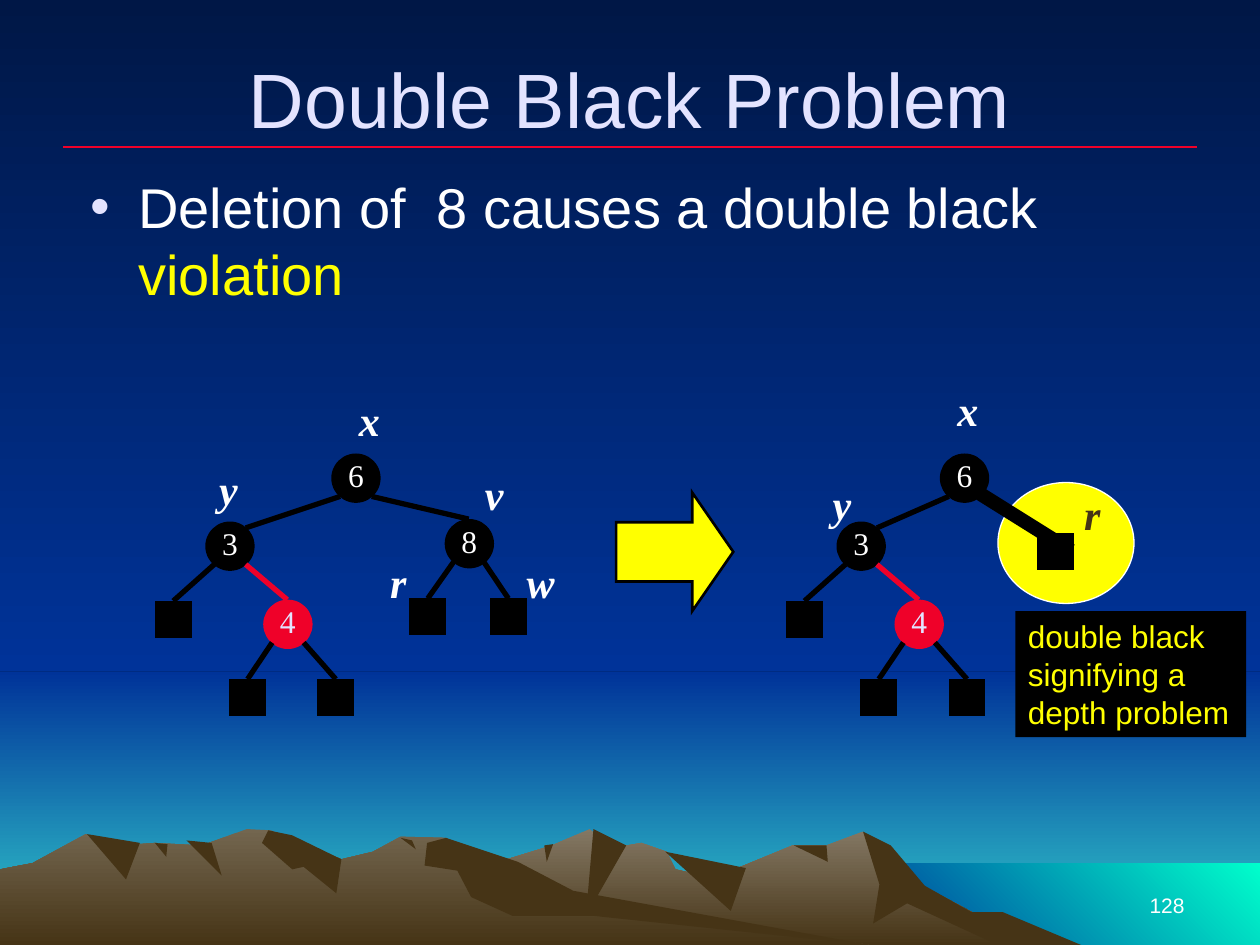
from lxml.etree import SubElement
from pptx import Presentation
from pptx.dml.color import RGBColor
from pptx.enum.shapes import MSO_CONNECTOR, MSO_SHAPE
from pptx.enum.text import MSO_ANCHOR, PP_ALIGN
from pptx.oxml.ns import qn
from pptx.util import Inches, Pt

BLACK, WHITE, RED, YELLOW = "000000", "FFFFFF", "EF0129", "FFFF00"
LILAC, BROWN, NAVY, BLUE = "E3E3FF", "463416", "001746", "003399"
TEAL, AQUA, LIGHT_ROCK, DARK_ROCK = "33CCCC", "00FFCC", "847864", "73664F"
SANS, SERIF = "Arial", "Times New Roman"

WIDTH, HEIGHT, HORIZON = 10, 7.5, 5.33
NODE, LEAF, LABEL = 0.35, 0.25, 0.5
EDGE_GAP, EDGE_RISE = 0.02, 0.29
TREE_SHIFT = 5.01

EAST_SKYLINE = [(2.58, HEIGHT), (3.27, 7.09), (3.99, 6.83), (4.38, 6.71), (4.68, 6.58),
                (4.86, 6.73), (5.09, 6.69), (5.29, 6.76), (5.36, 6.9), (5.66, 6.97),
                (6.29, 6.71), (6.56, 6.71), (6.85, 6.6), (7.23, 6.98), (8.2, HEIGHT)]
WEST_SKYLINE = [(0, HEIGHT), (0, 6.9), (0.26, 6.85), (0.68, 6.62), (0.94, 6.71),
                (1.23, 6.69), (1.6, 6.71), (1.96, 6.58), (2.15, 6.59), (2.71, 6.82),
                (2.96, 6.76), (3.18, 6.64), (3.54, 6.65), (4.32, 7.12), (6.9, HEIGHT)]
EAST_SLOPE = [(6.85, 6.6), (7.07, 6.71), (7.34, 7.03), (7.71, 7.24), (7.96, 7.24),
              (8.58, HEIGHT), (7.92, HEIGHT), (7.2, 7.17), (6.93, 7.33), (6.98, 7.02)]
CENTRE_SLOPE = [(3.39, 6.69), (3.54, 6.65), (4.11, 6.84), (4.55, 7.07), (6.9, HEIGHT),
                (4.72, 7.27), (4.07, 7.27), (3.74, 7.12), (3.63, 6.91), (3.37, 6.87)]
WEST_SLOPE = [(2.13, 6.59), (2.32, 6.63), (2.71, 6.82), (2.67, 7.09), (2.41, 6.88),
              (2.32, 6.9), (2.08, 6.69)]
EAST_GULLIES = [[(4.71, 6.58), (4.97, 6.71), (4.65, 7.27)],
                [(5.28, 6.76), (5.92, 6.89), (5.8, 7.23)],
                [(6.3, 6.71), (6.56, 6.71), (6.57, 6.84)],
                [(4.32, 6.71), (4.39, 6.7), (4.34, 6.84)]]
WEST_GULLIES = [[(0.69, 6.62), (1.11, 6.69), (1, 6.98)],
                [(1.23, 6.69), (1.33, 6.7), (1.32, 6.8)],
                [(1.48, 6.67), (1.68, 6.69), (1.76, 6.95)],
                [(3.18, 6.65), (3.27, 6.67), (3.3, 6.74)]]


def paint(color, value):
    """Set a colour object from a hex string."""
    color.rgb = RGBColor.from_string(value)


def fill_gradient(fill, colors, angle=270):
    """Fill with a two-colour linear gradient."""
    fill.gradient()
    fill.gradient_angle = angle
    for stop, value in zip(fill.gradient_stops, colors):
        paint(stop.color, value)


def style_shape(shape, fill, line=None, width=0.75):
    """Give a shape a solid fill, an optional sharp outline and no shadow."""
    shape.shadow.inherit = False
    shape.fill.solid()
    paint(shape.fill.fore_color, fill)
    if line:
        paint(shape.line.color, line)
        shape.line.width = Pt(width)
        SubElement(shape.line._get_or_add_ln(), qn("a:miter")).set("lim", "800000")
    else:
        shape.line.fill.background()


def add_shape(page, kind, place, fill, line=None, width=0.75):
    """Add a preset shape."""
    shape = page.shapes.add_shape(kind, *map(Inches, place))
    style_shape(shape, fill, line, width)
    return shape


def add_polygon(page, points, fill):
    """Add one closed polygon and return it."""
    corners = [(Inches(x), Inches(y)) for x, y in points]
    builder = page.shapes.build_freeform(*corners[0])
    builder.add_line_segments(corners[1:])
    shape = builder.convert_to_shape()
    style_shape(shape, fill)
    return shape


def add_band(page, left, top, bottom, colors, angle=270):
    """Add a gradient band from a left edge to the right side of the page."""
    place = (left, top, WIDTH - left, bottom - top)
    band = add_shape(page, MSO_SHAPE.RECTANGLE, place, colors[0])
    fill_gradient(band.fill, colors, angle)


def add_mountains(page, skyline, light, shadows):
    """Add a range lit from above, then its shadows."""
    fill_gradient(add_polygon(page, skyline, BROWN).fill, (light, BROWN))
    for shadow in shadows:
        add_polygon(page, shadow, BROWN)


def add_landscape(page):
    """Add sky, sea and mountains."""
    fill_gradient(page.background.fill, (NAVY, BLUE))
    add_band(page, 0, HORIZON, HEIGHT, (BLUE, TEAL))
    add_band(page, 0, 0, HORIZON, (NAVY, BLUE))
    add_band(page, 6.83, 6.85, HEIGHT, (BLUE, AQUA), 45)
    add_mountains(page, EAST_SKYLINE, LIGHT_ROCK, [EAST_SLOPE, *EAST_GULLIES])
    add_mountains(page, WEST_SKYLINE, DARK_ROCK, [WEST_SLOPE, CENTRE_SLOPE, *WEST_GULLIES])


def add_edge(page, start, end, color=BLACK, width=3):
    """Add a straight line between two points."""
    edge = page.shapes.add_connector(MSO_CONNECTOR.STRAIGHT, *map(Inches, (*start, *end)))
    paint(edge.line.color, color)
    edge.line.width = Pt(width)
    SubElement(edge._element.spPr, qn("a:effectLst"))


def format_span(span, size, color, font):
    """Set the size, colour and font of a run."""
    span.font.size, span.font.name = Pt(size), font
    paint(span.font.color, color)


def write(shape, text, size, color, font=SANS, align=PP_ALIGN.CENTER, anchor=MSO_ANCHOR.TOP):
    """Write one paragraph into a shape and return it."""
    frame = shape.text_frame
    frame.word_wrap = True
    frame.vertical_anchor = anchor
    paragraph = frame.paragraphs[0]
    paragraph.text = text
    paragraph.alignment = align
    format_span(paragraph.runs[0], size, color, font)
    return paragraph


def add_text(page, place, *style, **options):
    """Add a text box and return its paragraph."""
    return write(page.shapes.add_textbox(*map(Inches, place)), *style, **options)


def add_bullet_text(page):
    """Add the bulleted statement with its highlighted last word."""
    paragraph = add_text(page, (0.62, 1.32, 8.75, 3.42), "Deletion of  8 causes a double black ",
                         32, WHITE, align=PP_ALIGN.LEFT)
    properties = paragraph._p.get_or_add_pPr()
    properties.set("marL", str(Inches(0.38)))
    properties.set("indent", str(-Inches(0.38)))
    SubElement(SubElement(properties, qn("a:buClr")), qn("a:srgbClr")).set("val", LILAC)
    SubElement(properties, qn("a:buFont")).set("typeface", SANS)
    SubElement(properties, qn("a:buChar")).set("char", "•")
    span = paragraph.add_run()
    span.text = "violation"
    format_span(span, 32, YELLOW, SANS)


def add_label(page, text, left, top, width=0.34, color=WHITE):
    """Add a bold italic node name."""
    paragraph = add_text(page, (left, top, width, LABEL), text, 24, color, SERIF)
    font = paragraph.runs[0].font
    font.bold = font.italic = True


def add_node(page, key, left, top, color=BLACK, text_color=WHITE):
    """Add a round tree node with its key."""
    node = add_shape(page, MSO_SHAPE.OVAL, (left, top, NODE, NODE), color, color, 3)
    write(node, key, 18, text_color, SERIF, anchor=MSO_ANCHOR.MIDDLE)
    frame = node.text_frame
    frame.word_wrap = False
    frame.margin_left = frame.margin_right = frame.margin_top = 0
    frame.margin_bottom = Inches(0.05)


def add_leaf(page, left, top, parent=None):
    """Add a square leaf and, if a parent x is given, the edge up to it."""
    add_shape(page, MSO_SHAPE.RECTANGLE, (left, top, LEAF, LEAF), BLACK, BLACK, 3)
    if parent is not None:
        start = top - EDGE_GAP
        add_edge(page, (left + LEAF / 2, start), (parent, start - EDGE_RISE))


def add_common_tree(page, shift, root):
    """Add root 6 and the subtree of node 3, which both trees share."""
    add_edge(page, (1.95 + shift, 4.19), (root + 0.05, 3.94))
    add_node(page, "6", root, 3.62)
    add_node(page, "3", 1.65 + shift, 4.16)
    add_node(page, "4", 2.11 + shift, 4.78, RED, LILAC)
    for left, top, parent in ((1.25, 4.79, 1.7), (1.84, 5.41, 2.16), (2.54, 5.41, 2.41)):
        add_leaf(page, left + shift, top, parent + shift)
    add_edge(page, (2.28 + shift, 4.76), (1.95 + shift, 4.48), RED)


def add_tree_before(page):
    """Add the tree that still holds node 8."""
    add_edge(page, (3.72, 4.12), (2.95, 3.94))
    add_common_tree(page, 0, 2.65)
    add_node(page, "8", 3.55, 4.14)
    for left, parent in ((3.27, 3.6), (3.91, 3.84)):
        add_leaf(page, left, 4.77, parent)
    for label in (("x", 2.75, 3.08), ("y", 1.64, 3.63), ("v", 3.75, 3.67),
                  ("r", 2.99, 4.37), ("w", 4.08, 4.37, 0.42)):
        add_label(page, *label)


def add_tree_after(page):
    """Add the tree with the highlighted double black leaf and its note."""
    add_shape(page, MSO_SHAPE.OVAL, (7.92, 3.83, 1.08, 0.96), YELLOW, WHITE)
    add_edge(page, (8.5, 4.37), (7.78, 3.92), width=8)
    add_common_tree(page, TREE_SHIFT, 7.48)
    add_leaf(page, 8.25, 4.25)
    for label in (("x", 7.5, 3), ("y", 6.51, 3.75), ("r", 8.42, 3.83, 0.5, BROWN)):
        add_label(page, *label)
    note = add_shape(page, MSO_SHAPE.RECTANGLE, (8.06, 4.85, 1.83, 1), BLACK)
    write(note, "double black signifying a depth problem", 18, YELLOW, align=PP_ALIGN.LEFT)


def main():
    """Build and save the slide."""
    deck = Presentation()
    deck.slide_width, deck.slide_height = Inches(WIDTH), Inches(HEIGHT)
    page = deck.slides.add_slide(deck.slide_layouts[6])
    add_landscape(page)
    add_edge(page, (0.5, 7 / 6), (9.5, 7 / 6), RED, 0.75)
    add_text(page, (7.17, 6.83, 2.33, 0.5), "128", 12, WHITE,
             align=PP_ALIGN.RIGHT, anchor=MSO_ANCHOR.BOTTOM)
    add_text(page, (0.5, 0.25, 9, 1.05), "Double Black Problem", 44, LILAC,
             anchor=MSO_ANCHOR.MIDDLE)
    add_bullet_text(page)
    add_tree_before(page)
    arrow = add_shape(page, MSO_SHAPE.RIGHT_ARROW, (4.89, 3.91, 0.93, 0.94), YELLOW, BLACK, 1.5)
    arrow.adjustments[0], arrow.adjustments[1] = 0.5, 0.35
    add_tree_after(page)
    deck.save("out.pptx")


if __name__ == "__main__":
    main()
